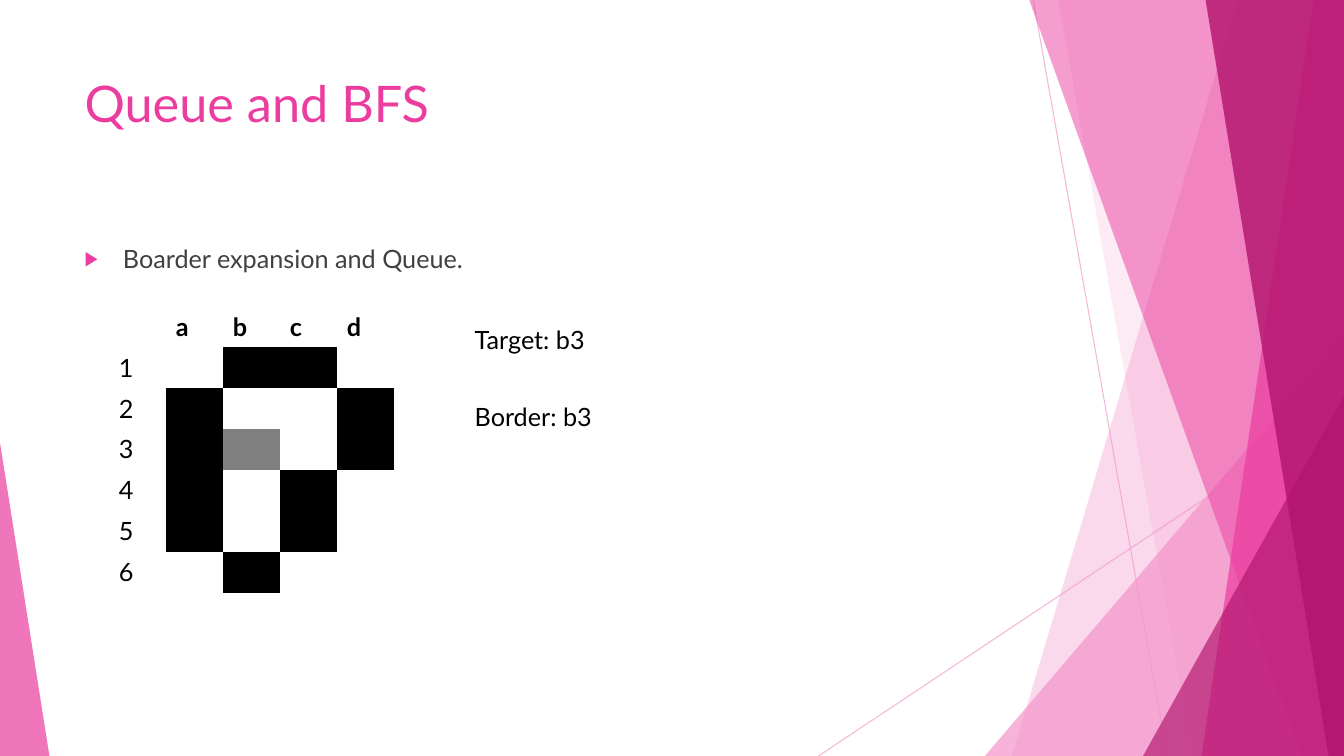
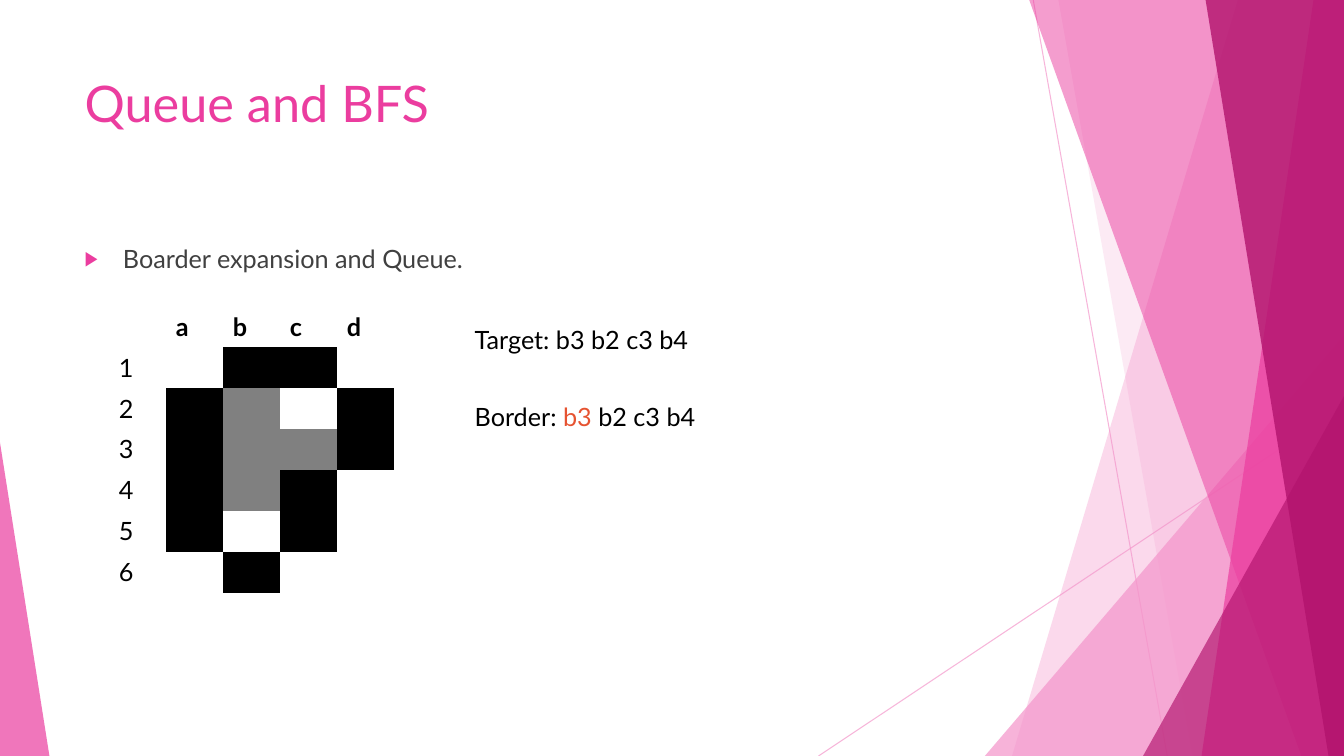
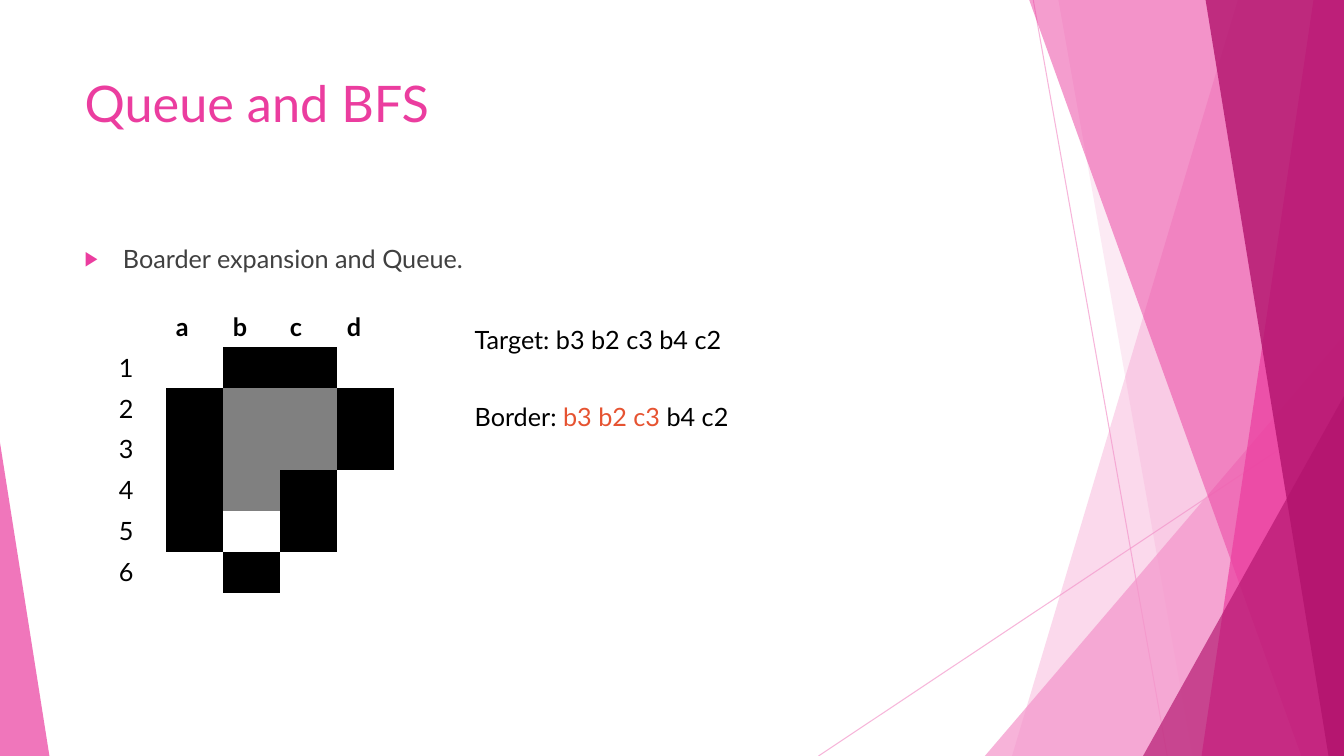
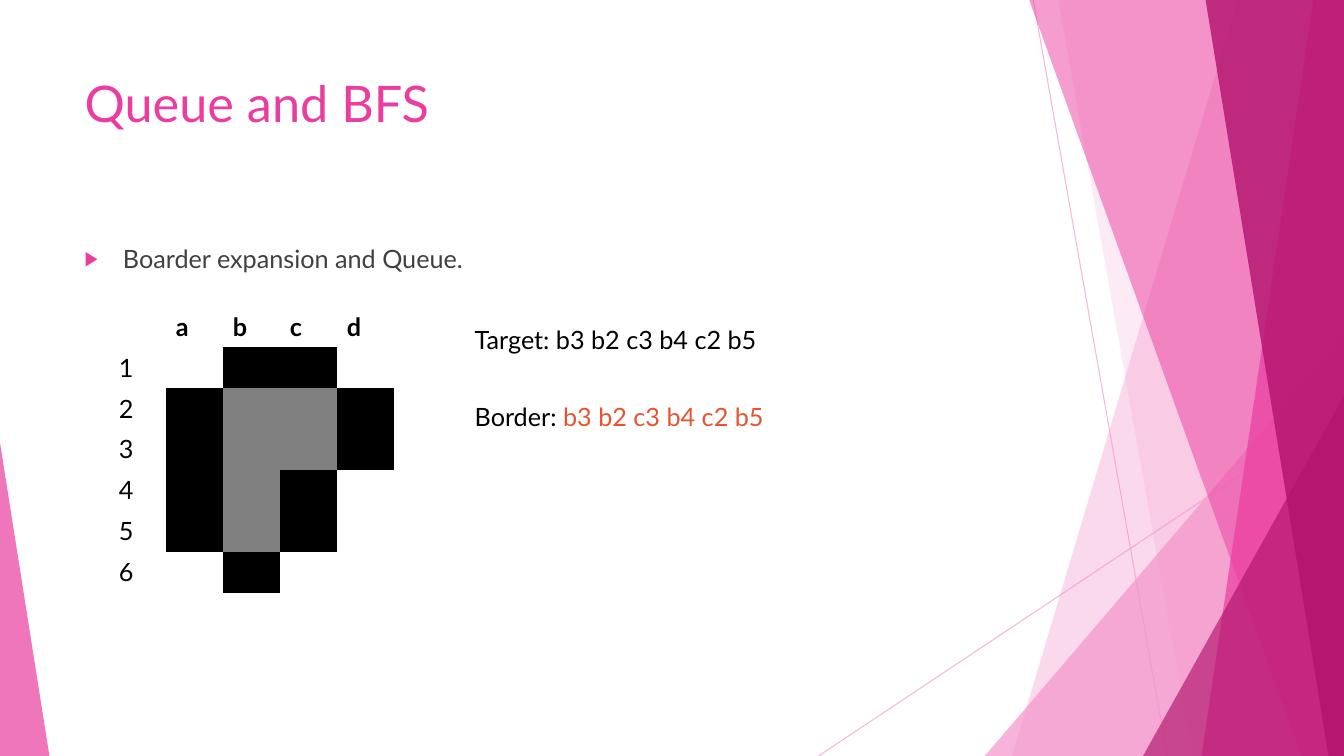
from lxml.etree import SubElement
from pptx import Presentation
from pptx.dml.color import RGBColor as RGB
from pptx.enum.shapes import MSO_CONNECTOR as CONN, MSO_SHAPE as SHAPE
from pptx.enum.text import MSO_ANCHOR as ANCHOR, MSO_AUTO_SIZE as FIT, PP_ALIGN as ALIGN
from pptx.oxml.ns import qn
from pptx.util import Inches, Pt

FONT = "Lato"
COLORS = {"pink": "EB3D9F", "light": "F496CB", "deep": "B2136D", "body": "404040",
          "black": "000000", "grey": "808080", "white": "FFFFFF", "done": "E65331"}
PLAIN_TABLE = "{2D5ABB26-0587-4C30-8999-92F81FD0307C}"

# Maze and the order in which cells join the queue
COLS, ROWS = "abcd", "123456"
WALLS = {"b1", "c1", "a2", "d2", "a3", "d3", "a4", "c4", "a5", "c5", "b6"}
QUEUE = ["b3", "b2", "c3", "b4", "c2", "b5"]
STEPS = [(1, 0), (4, 1), (5, 3), (6, 6)]  # cells found, cells processed


class Deck:
    """Style and current slide; lengths are percentages of the slide."""

    def __init__(self):
        self.prs = Presentation()
        self.prs.slide_width, self.prs.slide_height = Inches(13.33), Inches(7.5)
        self.s = None

    def x(self, share):
        return round(self.prs.slide_width * share / 100)

    def y(self, share):
        return round(self.prs.slide_height * share / 100)

    def box(self, left, top, width, height):
        return self.x(left), self.y(top), self.x(width), self.y(height)

    def new_slide(self):
        self.s = self.prs.slides.add_slide(self.prs.slide_layouts[1])

    # Text
    def run(self, p, text, color="black", size=18, bold=False):
        r = p.add_run()
        r.text = text
        r.font.name, r.font.size, r.font.bold = FONT, Pt(size), bold
        r.font.color.rgb = RGB.from_string(COLORS[color])

    def place(self, sp, *box):
        sp.left, sp.top, sp.width, sp.height = self.box(*box)
        sp.text_frame.vertical_anchor = ANCHOR.TOP
        p = sp.text_frame.paragraphs[0]
        p.alignment = ALIGN.LEFT
        return p

    def title(self, text):
        p = self.place(self.s.shapes.title, 5.55, 8.93, 70.5, 19.2)
        self.run(p, text, "pink", 36)

    def bullet(self, text):
        p = self.place(self.s.placeholders[1], 5.55, 31.47, 70.5, 56.53)
        p.space_before = Pt(10)
        pPr = p._p.get_or_add_pPr()
        pPr.set("marL", str(Inches(0.38)))
        pPr.set("indent", str(-Inches(0.38)))
        SubElement(SubElement(pPr, qn("a:buClr")), qn("a:srgbClr"), val=COLORS["pink"])
        SubElement(pPr, qn("a:buSzPct"), val="80000")
        SubElement(pPr, qn("a:buChar"), char="▶")
        self.run(p, text, "body")

    def label(self, top, *runs):
        tf = self.s.shapes.add_textbox(*self.box(34.58, top, 40.88, 5.33)).text_frame
        tf.word_wrap, tf.auto_size = True, FIT.SHAPE_TO_FIT_TEXT
        for text, color in runs:
            if text:
                self.run(tf.paragraphs[0], text, color)

    # Table
    def maze(self, found):
        frame = self.s.shapes.add_table(len(ROWS) + 1, len(COLS) + 1,
                                        *self.box(8.1, 40.53, 21.2, 37.87))
        frame.element.xpath(".//a:tableStyleId")[0].text = PLAIN_TABLE
        table = frame.table
        table.first_row = table.horz_banding = False
        for i, row in enumerate(" " + ROWS):
            for j, col in enumerate(" " + COLS):
                cell = table.cell(i, j)
                name = col + row
                color = "black" if name in WALLS else "grey" if name in found else "white"
                cell.fill.solid()
                cell.fill.fore_color.rgb = RGB.from_string(COLORS[color])
                if (i == 0) != (j == 0):
                    self.run(cell.text_frame.paragraphs[0], name.strip(), bold=i == 0)

    # Decoration
    def fade(self, sp, alpha):
        clr = sp.element.spPr.xpath(".//a:srgbClr")[0]
        SubElement(clr, qn("a:alpha"), val=str(alpha * 1000))

    def paint(self, sp, color, alpha):
        sp.shadow.inherit = False
        sp.fill.solid()
        sp.fill.fore_color.rgb = RGB.from_string(COLORS[color])
        sp.line.fill.background()
        self.fade(sp, alpha)

    def line(self, x1, y1, x2, y2):
        c = self.s.shapes.add_connector(CONN.STRAIGHT, self.x(x1), self.y(y1),
                                        self.x(x2), self.y(y2))
        c.line.width = Pt(0.75)
        c.line.color.rgb = RGB.from_string(COLORS["light"])
        self.fade(c, 70)
        SubElement(c.element.spPr, qn("a:effectLst"))

    def band(self, top_x, bottom_x, color, alpha):
        """Full-height band from a slanted left edge to the right slide edge."""
        corners = [(100, 0), (100, 100), (bottom_x, 100)]
        fb = self.s.shapes.build_freeform(self.x(top_x), 0)
        fb.add_line_segments([(self.x(a), self.y(b)) for a, b in corners], close=True)
        self.paint(fb.convert_to_shape(), color, alpha)

    def wedge(self, left, top, width, apex, color, alpha):
        """Triangle standing on the bottom edge of the slide."""
        sp = self.s.shapes.add_shape(SHAPE.ISOSCELES_TRIANGLE,
                                     *self.box(left, top, width, 100 - top))
        sp.adjustments[0] = apex
        self.paint(sp, color, alpha)

    def decorate_master(self):
        """Draw the facets on the current slide, then move them to the master."""
        start = len(self.s.shapes)
        self.line(76.88, 0, 86.85, 100)
        self.line(100, 53.73, 60.9, 100)
        self.band(92.1, 75.3, "light", 36)
        self.band(78.75, 88.73, "light", 20)
        self.wedge(73.28, 44.4, 26.72, 1, "light", 72)
        self.band(76.58, 96.83, "pink", 50)
        self.band(97.73, 89.4, "pink", 70)
        self.band(89.7, 98.85, "deep", 80)
        self.wedge(85.05, 52.4, 14.95, 1, "deep", 66)
        self.wedge(0, 58.53, 3.68, 0, "pink", 70)
        tree = self.prs.slide_master.shapes.element
        for i, sp in enumerate(list(self.s.shapes)[start:]):
            sp.element.xpath(".//p:cNvPr")[0].set("id", str(100 + i))
            tree.insert(2 + i, sp.element)  # behind the placeholders


def main():
    deck = Deck()
    for n, (found, done) in enumerate(STEPS):
        deck.new_slide()
        if n == 0:
            deck.decorate_master()
        deck.title("Queue and BFS")
        deck.bullet("Boarder expansion and Queue.")
        deck.maze(QUEUE[:found])
        deck.label(42.27, ("Target: " + " ".join(QUEUE[:found]), "black"))
        gap = " " if 0 < done < found else ""
        deck.label(52.4, ("Border: ", "black"), (" ".join(QUEUE[:done]), "done"),
                   (gap + " ".join(QUEUE[done:found]), "black"))
    deck.prs.save("out.pptx")


if __name__ == "__main__":
    main()
